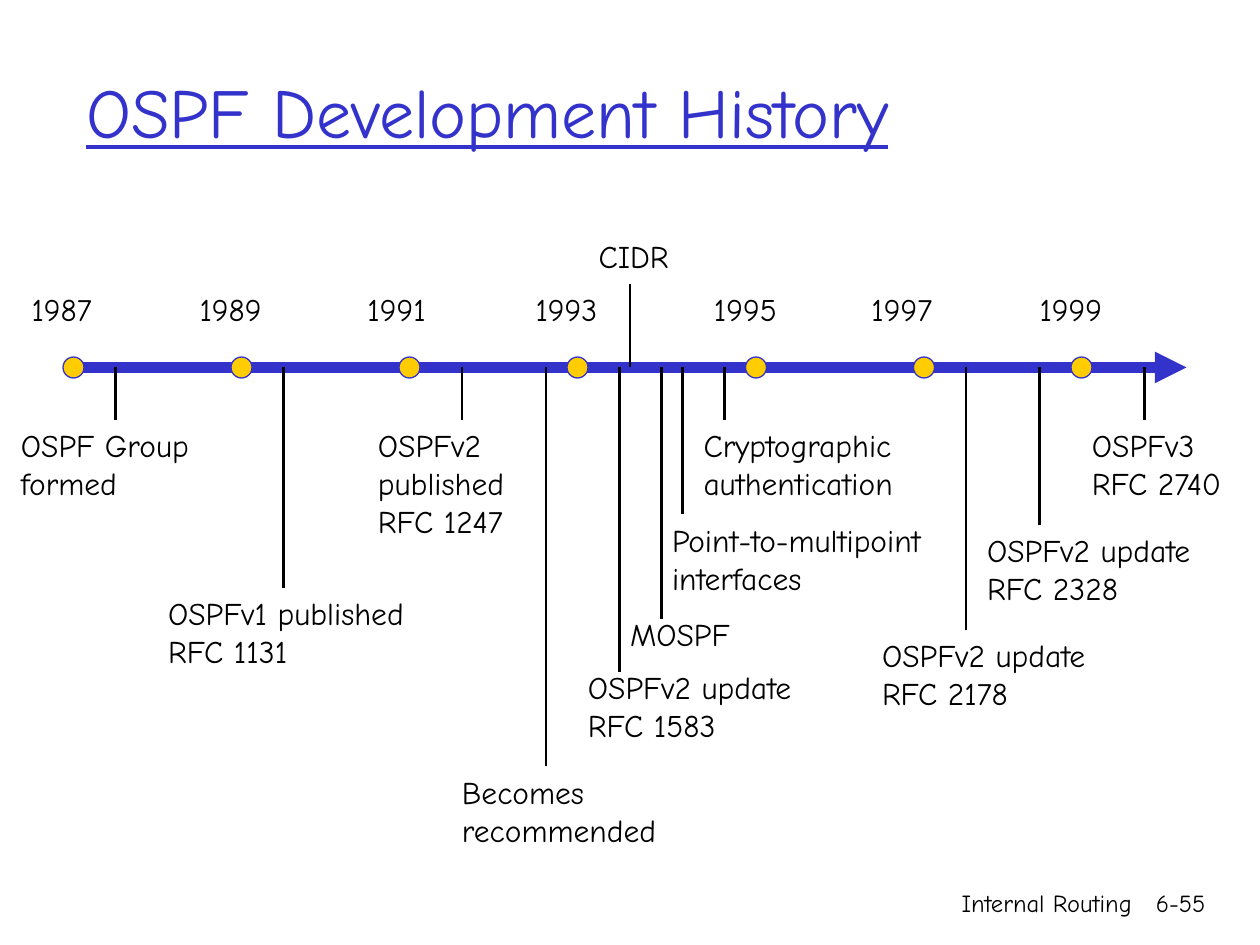
from pptx import Presentation, util as u
from pptx.dml.color import RGBColor
from pptx.enum import shapes, text
from pptx.oxml.ns import qn
from lxml import etree

Pt = u.Pt
THEME = {
    "font": "Comic Neue",
    "blue": RGBColor(0x33, 0x33, 0xCC),
    "gold": RGBColor(0xFF, 0xCC, 0x00),
    "black": RGBColor(0, 0, 0),
    "title": 40, "body": 18, "footer": 14,
}
TITLE = "OSPF Development History"
AXIS_Y, AXIS_START, AXIS_END = 210, 42, 678
DOT = 12
YEAR_Y, YEAR_W = 162, 48

# year, label left, dot centre
YEARS = [
    ("1987", 18, 42), ("1989", 114, 138), ("1991", 210, 234),
    ("1993", 306, 330), ("1995", 408, 432), ("1997", 498, 528),
    ("1999", 594, 618),
]
# wording, left, top, width, lines, stem x, stem end
EVENTS = [
    ("OSPF Group formed", 12, 240, 114, 2, 66, 240),
    ("OSPFv1 published RFC 1131", 96, 336, 162, 2, 162, 336),
    ("OSPFv2 published RFC 1247", 216, 240, 81, 3, 264, 240),
    ("Becomes recommended", 264, 438, 118, 2, 312, 438),
    ("Cryptographic authentication", 402, 240, 126, 2, 414, 240),
    ("Point-to-multipoint interfaces", 384, 294, 162, 2, 390, 294),
    ("MOSPF", 360, 348, 84, 1, 378, 354),
    ("OSPFv2 update RFC 1583", 336, 378, 132, 2, 354, 384),
    ("CIDR", 342, 132, 60, 1, 360, 162),
    ("OSPFv2 update RFC 2178", 504, 360, 132, 2, 552, 360),
    ("OSPFv2 update RFC 2328", 564, 300, 132, 2, 594, 300),
    ("OSPFv3 RFC 2740", 624, 240, 84, 2, 654, 240),
]
FOOTER = [("Internal Routing", 426, 228), ("6-55", 643, 53)]


def write(sp, words, size, colour, align=text.PP_ALIGN.LEFT, underline=None, **frame):
    tf = sp.text_frame
    frame = {"word_wrap": True, "auto_size": text.MSO_AUTO_SIZE.NONE, **frame}
    for name, value in frame.items():
        setattr(tf, name, value)
    p = tf.paragraphs[0]
    p.alignment = align
    r = p.add_run()
    r.text = words
    style = {"name": THEME["font"], "size": Pt(THEME[size]), "underline": underline}
    for name, value in style.items():
        setattr(r.font, name, value)
    r.font.color.rgb = THEME[colour]


def add_label(s, words, x, y, w, lines=1):
    sp = s.shapes.add_textbox(Pt(x), Pt(y), Pt(w), Pt(7 + 22 * lines))
    write(sp, words, "body", "black", margin_left=0, margin_right=0,
          auto_size=text.MSO_AUTO_SIZE.SHAPE_TO_FIT_TEXT)


def add_line(s, x1, y1, x2, y2, colour, width, arrow=False):
    c = s.shapes.add_connector(shapes.MSO_CONNECTOR.STRAIGHT, Pt(x1), Pt(y1), Pt(x2), Pt(y2))
    c.line.color.rgb = THEME[colour]
    c.line.width = Pt(width)
    if arrow:
        etree.SubElement(c.line._get_or_add_ln(), qn("a:tailEnd"), type="triangle")
    etree.SubElement(c._element.spPr, qn("a:effectLst"))


def add_dot(s, x):
    sp = s.shapes.add_shape(shapes.MSO_SHAPE.OVAL, Pt(x - DOT / 2), Pt(AXIS_Y - DOT / 2),
                            Pt(DOT), Pt(DOT))
    sp.shadow.inherit = False
    sp.fill.solid()
    sp.fill.fore_color.rgb = THEME["gold"]
    sp.line.color.rgb = THEME["blue"]
    sp.line.width = Pt(0.75)


def main():
    prs = Presentation()
    prs.slide_width, prs.slide_height = Pt(720), Pt(540)
    s = prs.slides.add_slide(prs.slide_layouts[5])

    title = s.shapes.title
    box = {"left": 42, "top": 18, "width": 612, "height": 90}
    for name, value in box.items():
        setattr(title, name, Pt(value))
    write(title, TITLE, "title", "blue", underline=True,
          vertical_anchor=text.MSO_ANCHOR.MIDDLE)

    add_line(s, AXIS_START, AXIS_Y, AXIS_END, AXIS_Y, "blue", 6, arrow=True)
    for year, x, dot_x in YEARS:
        add_dot(s, dot_x)
        add_label(s, year, x, YEAR_Y, YEAR_W)
    for words, x, y, w, lines, stem_x, stem_end in EVENTS:
        add_label(s, words, x, y, w, lines)
        add_line(s, stem_x, AXIS_Y, stem_x, stem_end, "black", 1.5)
    for words, x, w in FOOTER:
        sp = s.shapes.add_textbox(Pt(x), Pt(504), Pt(w), Pt(36))
        write(sp, words, "footer", "black", align=text.PP_ALIGN.RIGHT)

    prs.save("out.pptx")


if __name__ == "__main__":
    main()
